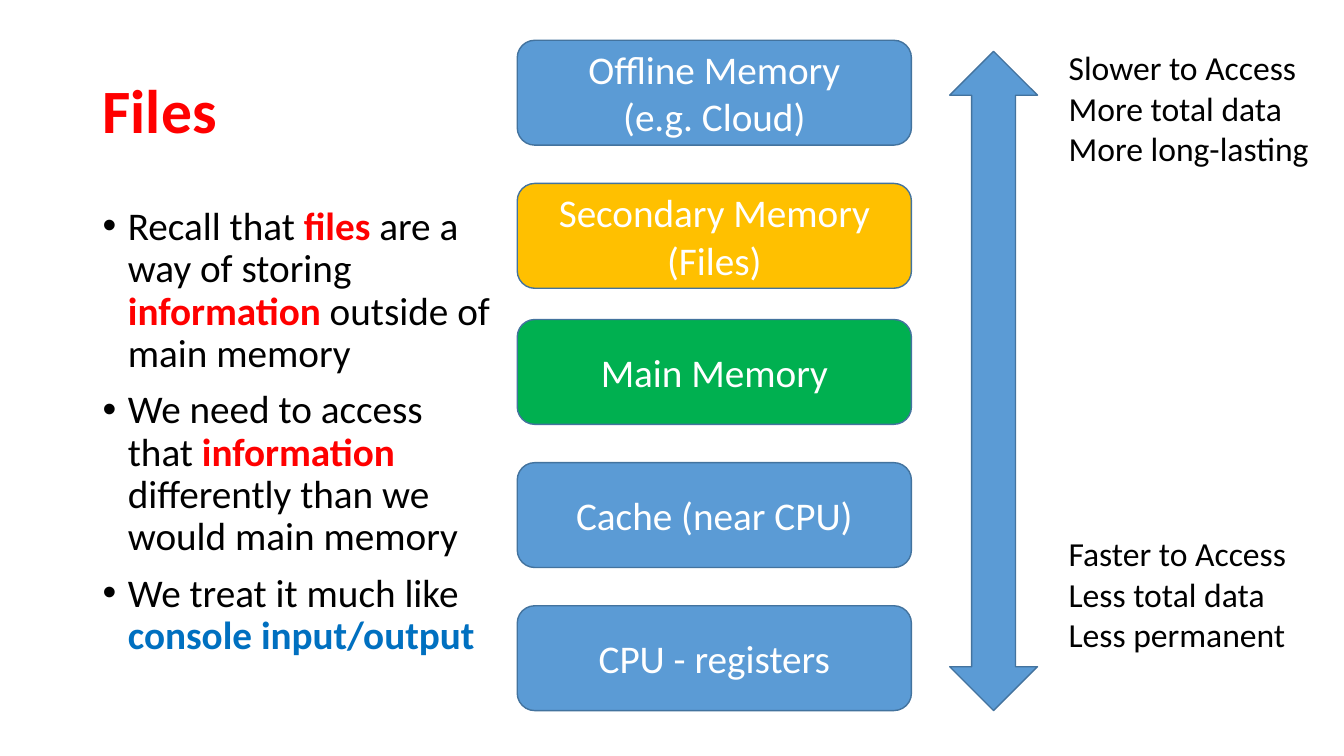
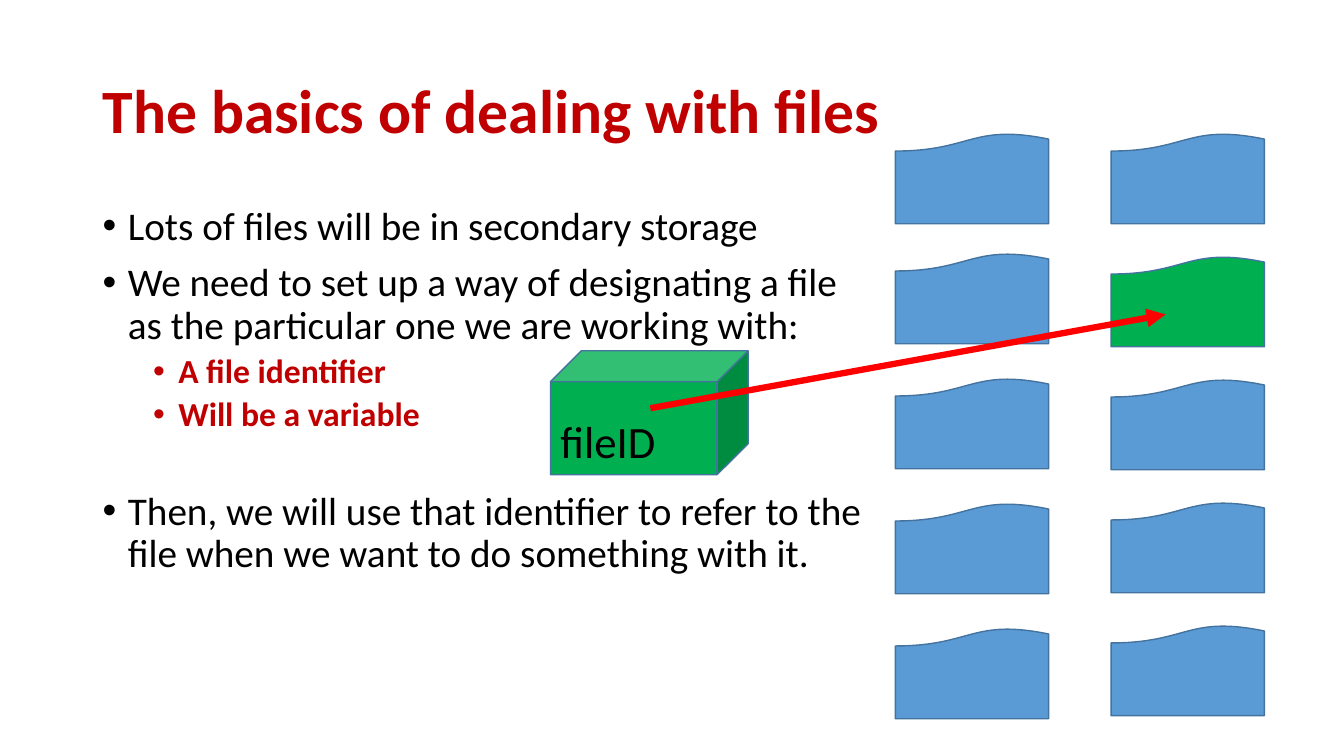
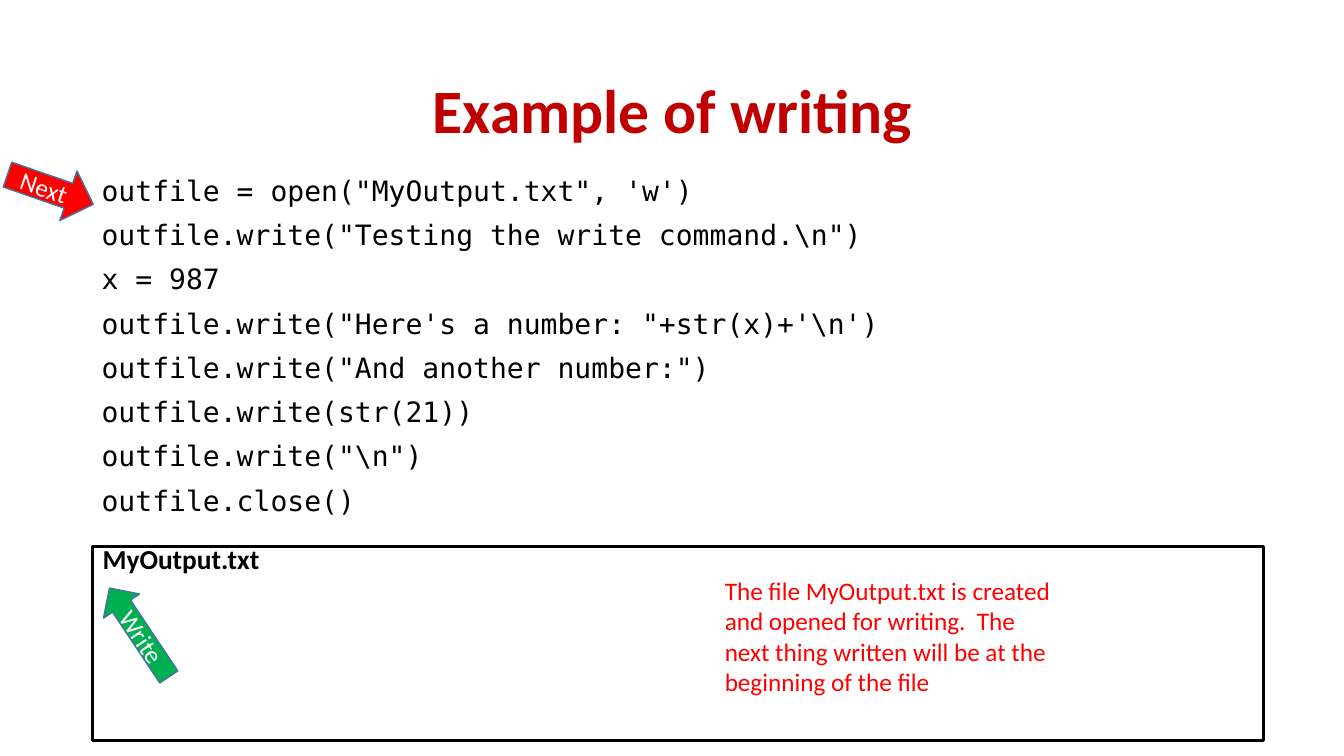
"""Builds three slides about files and memory."""
from lxml.etree import SubElement
from pptx import Presentation
from pptx.dml.color import RGBColor
from pptx.enum.shapes import MSO_CONNECTOR as Line, MSO_SHAPE as Shape
from pptx.enum.text import MSO_ANCHOR as Anchor, MSO_AUTO_SIZE as AutoSize, PP_ALIGN as Align
from pptx.oxml.ns import qn
from pptx.util import Inches, Pt

COLORS = {
    "black": "000000", "white": "FFFFFF", "red": "FF0000", "crimson": "C00000",
    "green": "00B050", "gold": "FFC000", "blue": "5B9BD5", "edge": "43739E",
    "link": "0070C0",
}


class Deck:
    """Holds the shared style and the current slide."""

    sans = "Calibri"
    mono = "DejaVu Sans Mono"

    def __init__(self):
        self.show = Presentation()
        self.show.slide_width = Inches(13.33)
        self.show.slide_height = Inches(7.5)

    def color(self, name):
        return RGBColor.from_string(COLORS[name])

    def new_slide(self, title, color="crimson", align=Align.LEFT):
        self.slide = self.show.slides.add_slide(self.show.slide_layouts[6])
        frame = self.frame(0.92, 0.4, 11.5, 1.45)
        frame.vertical_anchor = Anchor.MIDDLE
        frame.text = title
        self.style(frame, 44, color, bold=True, align=align, spacing=0.9)

    def frame(self, left, top, width, height):
        box = self.slide.shapes.add_textbox(
            Inches(left), Inches(top), Inches(width), Inches(height))
        box.text_frame.word_wrap = True
        return box.text_frame

    def font(self, run, size, color, bold=False, face=None):
        run.font.name = face or self.sans
        run.font.size = Pt(size)
        run.font.bold = bold
        run.font.color.rgb = self.color(color)

    def style(self, frame, size, color, bold=False, face=None,
              align=Align.LEFT, spacing=None, before=None):
        for paragraph in frame.paragraphs:
            paragraph.alignment = align
            if spacing:
                paragraph.line_spacing = spacing
            if before:
                paragraph.space_before = Pt(before)
            for run in paragraph.runs:
                self.font(run, size, color, bold, face)

    def note(self, at, text, size, color="black", wrap=False):
        frame = self.frame(*at)
        frame.word_wrap = wrap
        frame.auto_size = AutoSize.SHAPE_TO_FIT_TEXT
        frame.text = text
        self.style(frame, size, color)

    def code(self, at, text):
        frame = self.frame(*at)
        frame.text = text
        self.style(frame, 20, "black", face=self.mono, spacing=0.9, before=10)

    def bullets(self, at, items):
        """Each item is level, space before and (text, accent) pieces."""
        frame = self.frame(*at)
        for index, (level, before, pieces) in enumerate(items):
            paragraph = frame.add_paragraph() if index else frame.paragraphs[0]
            paragraph.level = level
            paragraph.line_spacing = 0.9
            paragraph.space_before = Pt(before)
            for text, accent in pieces:
                run = paragraph.add_run()
                run.text = text
                self.font(run, 24 if level else 28, accent or "black", bool(accent))
            props = paragraph._p.get_or_add_pPr()
            props.set("marL", str(Inches(0.25 + 0.5 * level)))
            props.set("indent", str(Inches(-0.25)))
            SubElement(props, qn("a:buFont")).set("typeface", "Arial")
            SubElement(props, qn("a:buChar")).set("char", "•")

    def block(self, kind, at, fill="blue", text="", size=28, turn=0):
        block = self.slide.shapes.add_shape(kind, *map(Inches, at))
        block.shadow.inherit = False
        block.rotation = turn
        block.fill.solid()
        block.fill.fore_color.rgb = self.color(fill)
        block.line.color.rgb = self.color("edge")
        block.line.width = Pt(1)
        if text:
            block.text_frame.text = text
            block.text_frame.vertical_anchor = Anchor.MIDDLE
            self.style(block.text_frame, size, "white", align=Align.CENTER)

    def panel(self, at, heading):
        panel = self.slide.shapes.add_shape(Shape.RECTANGLE, *map(Inches, at))
        panel.shadow.inherit = False
        panel.fill.background()
        panel.line.color.rgb = self.color("black")
        panel.line.width = Pt(2)
        panel.text_frame.text = heading
        panel.text_frame.vertical_anchor = Anchor.TOP
        self.style(panel.text_frame, 19.6, "black", bold=True, spacing=0.7, before=10)

    def arrow(self, start, end, color, width):
        arrow = self.slide.shapes.add_connector(
            Line.STRAIGHT, *map(Inches, start + end))
        arrow.line.color.rgb = self.color(color)
        arrow.line.width = Pt(width)
        SubElement(arrow.line._get_or_add_ln(), qn("a:tailEnd")).set("type", "triangle")
        SubElement(arrow._element.spPr, qn("a:effectLst"))


deck = Deck()

deck.new_slide("Files", "red")
deck.bullets((0.92, 2, 4.09, 4.76), [
    (0, 10, [("Recall that ", None), ("files", "red"), (" are a way of storing ", None),
             ("information", "red"), (" outside of main memory", None)]),
    (0, 10, [("We need to access that ", None), ("information ", "red"),
             ("differently than we would main memory", None)]),
    (0, 10, [("We treat it much like ", None), ("console input/output", "link")]),
])
memory_levels = [
    (0.4, "blue", "Offline Memory\n(e.g. Cloud)"),
    (1.82, "gold", "Secondary Memory (Files)"),
    (3.17, "green", "Main Memory"),
    (4.59, "blue", "Cache (near CPU)"),
    (6.01, "blue", "CPU - registers"),
]
for top, fill, label in memory_levels:
    deck.block(Shape.ROUNDED_RECTANGLE, (5.13, top, 3.91, 1.04), fill, label)
deck.note((10.5, 0.42, 2.61, 1.31),
          "Slower to Access\nMore total data\nMore long-lasting", 24)
deck.note((10.5, 5.24, 2.38, 1.31),
          "Faster to Access\nLess total data\nLess permanent", 24)
deck.block(Shape.UP_DOWN_ARROW, (9.42, 0.51, 0.87, 6.54))

deck.new_slide("The basics of dealing with files")
deck.bullets((0.92, 2, 7.78, 4.76), [
    (0, 10, [("Lots of files will be in secondary storage", None)]),
    (0, 10, [("We need to set up a way of designating a file as the particular "
              "one we are working with:", None)]),
    (1, 5, [("A file identifier", "crimson")]),
    (1, 5, [("Will be a variable", "crimson")]),
    (0, 41, [("Then, we will use that identifier to refer to the file when we "
              "want to do something with it.", None)]),
])
chosen_row = 1
for row, left_top in enumerate([1.32, 2.51, 3.75, 4.99, 6.23]):
    right_fill = "green" if row == chosen_row else "blue"
    for left, top, fill in [(8.88, left_top, "blue"),
                            (11.02, 1.32 + 1.22 * row, right_fill)]:
        deck.block(Shape.FLOWCHART_DOCUMENT, (left, top, 1.52, 0.9), fill, turn=180)
deck.block(Shape.CUBE, (5.46, 3.48, 1.96, 1.23), "green")
deck.note((5.46, 4.06, 1.6, 0.64), "fileID", 32)
deck.arrow((6.45, 4.05), (11.56, 3.12), "red", 4.5)

deck.new_slide("Example of writing", align=Align.CENTER)
deck.code((0.91, 1.71, 11.5, 3.56), r"""outfile = open("MyOutput.txt", 'w')
outfile.write("Testing the write command.\n")
x = 987
outfile.write("Here's a number: "+str(x)+'\n')
outfile.write("And another number:")
outfile.write(str(21))
outfile.write("\n")
outfile.close()""")
deck.panel((0.92, 5.42, 11.61, 1.93), "MyOutput.txt")
deck.block(Shape.RIGHT_ARROW, (0.05, 1.62, 0.9, 0.52), "red", "Next", 18, 19.1)
deck.note((7.09, 5.66, 3.5, 1.31),
          "The file MyOutput.txt is created and opened for writing.  The next "
          "thing written will be at the beginning of the file", 18, "red", wrap=True)
deck.block(Shape.LEFT_ARROW, (0.85, 6.06, 1.06, 0.43), "green", "Write", 18, 56.3)

deck.show.save("out.pptx")
